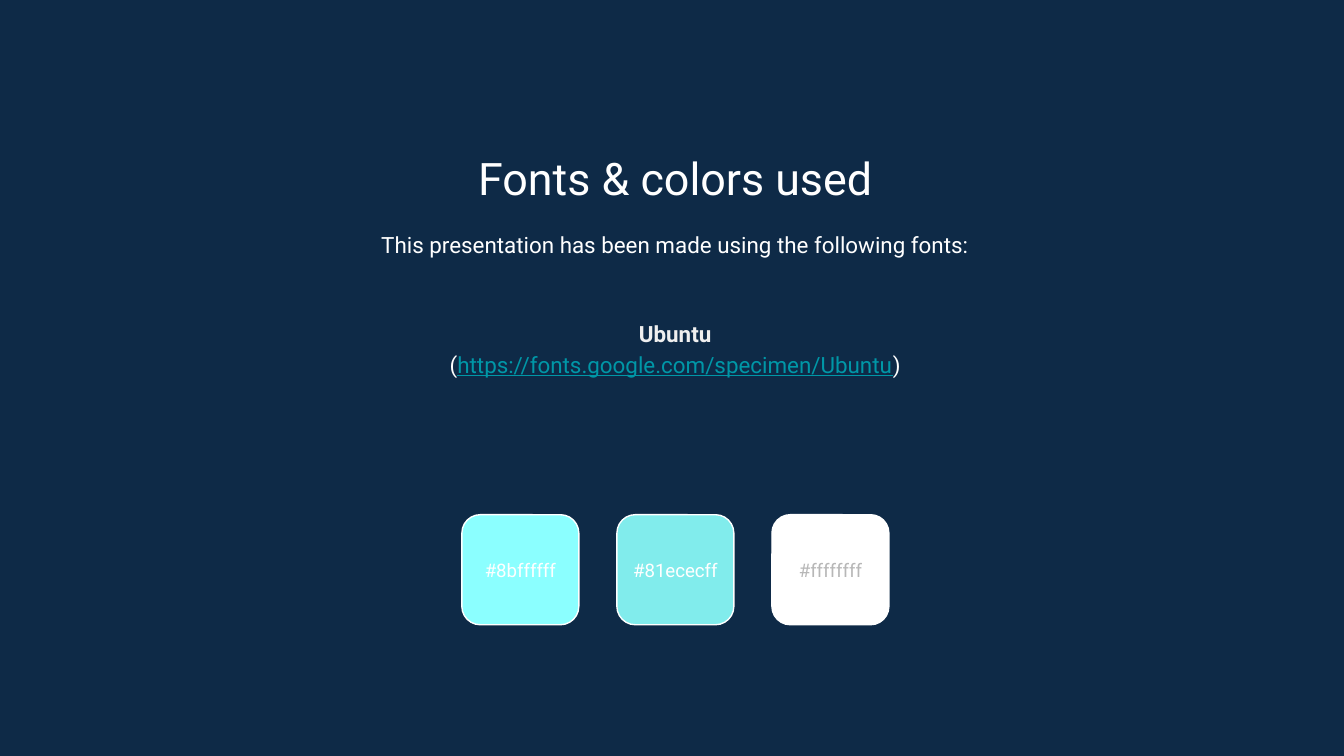
"""Build the slide that lists the fonts and colours of a presentation."""
from pptx import Presentation
from pptx.dml.color import RGBColor
from pptx.enum.shapes import MSO_SHAPE as Shape
from pptx.enum.text import MSO_ANCHOR as Anchor, PP_ALIGN as Align
from pptx.util import Cm, Pt

COLORS = {
    "background": "0E2A47",
    "white": "FFFFFF",
    "name": "EFEFEF",
    "link": "0097A7",
    "grey": "B7B7B7",
    "aqua": "8BFFFF",
    "turquoise": "81ECEC",
}
TITLE = {"size": Pt(24)}
BODY = {"size": Pt(12)}
LABEL = {"size": Pt(10)}
BOLD = {**BODY, "bold": True}
LINK = {**BODY, "underline": True}

TEXT_LEFT, TEXT_WIDTH = 2.97, 19.58
SWATCH_LEFT, SWATCH_TOP, SWATCH_PITCH = 8.73, 9.73, 2.93
SWATCH_WIDTH, SWATCH_HEIGHT = 2.21, 2.08
LABEL_TOP, LABEL_HEIGHT = 10.16, 1.22
SWATCHES = [
    ("#8bffffff", "aqua", "white"),
    ("#81ececff", "turquoise", "white"),
    ("#ffffffff", "white", "grey"),
]


def color(name):
    return RGBColor.from_string(COLORS[name])


def add_text(slide, box, lines, anchor=Anchor.TOP, spacing=1.0, inset_top=0.25):
    """Add centred text; each line is a list of (text, color name, format) runs."""
    shape = slide.shapes.add_textbox(*(Cm(length) for length in box))
    frame = shape.text_frame
    settings = {
        "word_wrap": True,
        "vertical_anchor": anchor,
        "margin_left": Cm(0.25),
        "margin_right": Cm(0.25),
        "margin_top": Cm(inset_top),
        "margin_bottom": Cm(0.25),
    }
    for name, value in settings.items():
        setattr(frame, name, value)
    for index, runs in enumerate(lines):
        paragraph = frame.add_paragraph() if index else frame.paragraphs[0]
        paragraph.alignment = Align.CENTER
        paragraph.line_spacing = spacing
        for text, color_name, style in runs:
            run = paragraph.add_run()
            run.text = text
            run.font.color.rgb = color(color_name)
            for name, value in {"name": "Roboto", **style}.items():
                setattr(run.font, name, value)


def add_swatch(slide, left, label, fill, text_color):
    """Add a rounded colour sample with its code in the middle."""
    shape = slide.shapes.add_shape(
        Shape.ROUNDED_RECTANGLE,
        Cm(left), Cm(SWATCH_TOP), Cm(SWATCH_WIDTH), Cm(SWATCH_HEIGHT),
    )
    shape.shadow.inherit = False
    shape.fill.solid()
    shape.fill.fore_color.rgb = color(fill)
    shape.line.color.rgb = color("white")
    shape.line.width = Pt(0.75)
    add_text(slide, (left, LABEL_TOP, SWATCH_WIDTH, LABEL_HEIGHT),
             [[(label, text_color, LABEL)]], anchor=Anchor.MIDDLE)


def main():
    presentation = Presentation()
    presentation.slide_width, presentation.slide_height = Cm(25.4), Cm(14.29)
    slide = presentation.slides.add_slide(presentation.slide_layouts[6])
    slide.background.fill.solid()
    slide.background.fill.fore_color.rgb = color("background")

    add_text(slide, (TEXT_LEFT, 2.59, TEXT_WIDTH, 1.35),
             [[("Fonts & colors used", "white", TITLE)]])
    intro = "This presentation has been made using the following fonts:"
    add_text(slide, (TEXT_LEFT, 4.04, TEXT_WIDTH, 1.22),
             [[(intro, "white", BODY)]], spacing=1.15)
    font_lines = [
        [("Ubuntu", "name", BOLD)],
        [("(", "white", BODY),
         ("https://fonts.google.com/specimen/Ubuntu", "link", LINK),
         (")", "white", BODY)],
    ]
    add_text(slide, (TEXT_LEFT, 5.41, TEXT_WIDTH, 3.48), font_lines,
             spacing=1.15, inset_top=0.57)
    for index, swatch in enumerate(SWATCHES):
        add_swatch(slide, SWATCH_LEFT + index * SWATCH_PITCH, *swatch)

    presentation.save("out.pptx")


if __name__ == "__main__":
    main()
